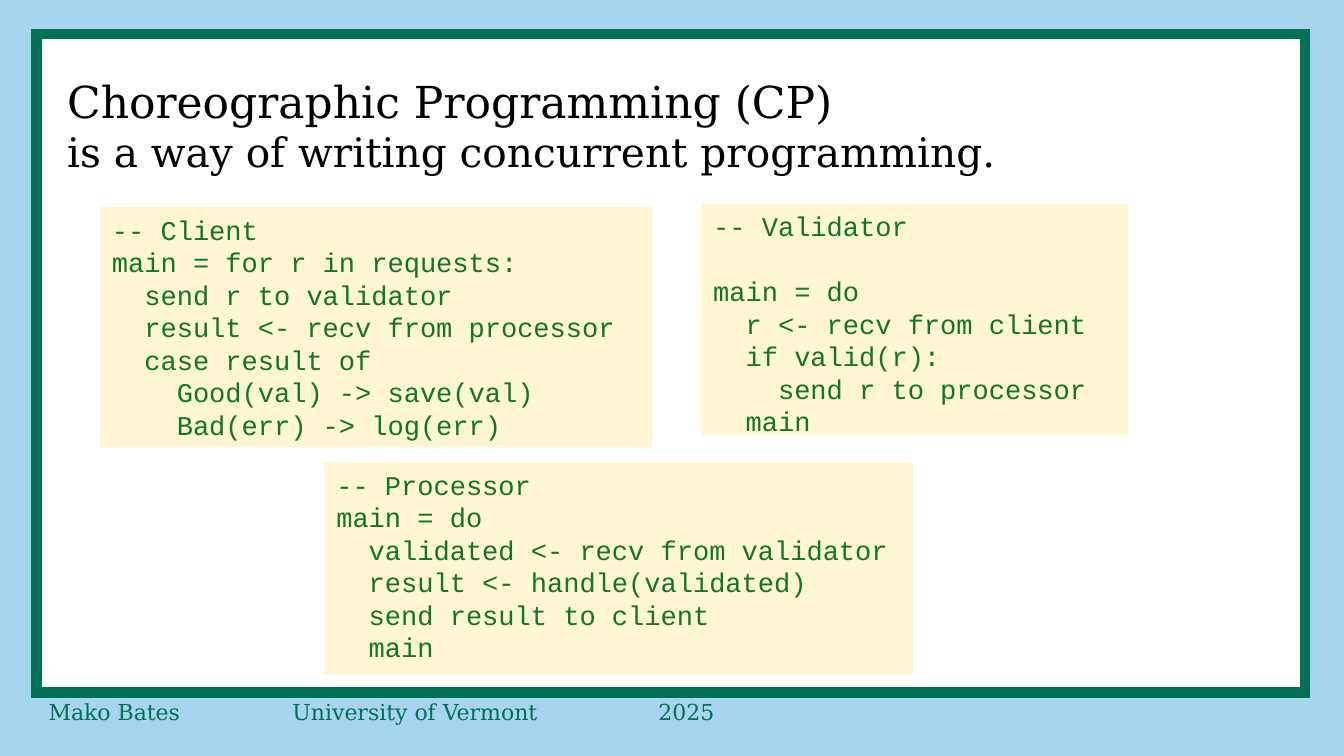
from lxml.etree import SubElement
from pptx import Presentation
from pptx.dml.color import RGBColor
from pptx.enum.shapes import MSO_SHAPE
from pptx.enum.text import MSO_ANCHOR, MSO_AUTO_SIZE, PP_ALIGN
from pptx.oxml.ns import qn
from pptx.util import Inches, Pt

SKY = RGBColor(0xA7, 0xD4, 0xEE)
WHITE = RGBColor(0xFF, 0xFF, 0xFF)
BLACK = RGBColor(0x00, 0x00, 0x00)
GREEN = RGBColor(0x00, 0x71, 0x55)
CODE_GREEN = RGBColor(0x12, 0x76, 0x22)
YELLOW = RGBColor(0xFF, 0xE9, 0x94)

SERIF = "DejaVu Serif"
MONO = "Courier New"
CODE_SIZE = 16

CLIENT = """-- Client
main = for r in requests:
  send r to validator
  result <- recv from processor
  case result of
    Good(val) -> save(val)
    Bad(err) -> log(err)"""

VALIDATOR = """-- Validator
main = do
  r <- recv from client
  if valid(r):
    send r to processor
  main"""

PROCESSOR = """-- Processor
main = do
  validated <- recv from validator
  result <- handle(validated)
  send result to client
  main"""


class SlideBuilder:
    """Holds the current slide and draws its elements in one style."""

    def __init__(self, deck):
        self.slide = deck.slides.add_slide(deck.slide_layouts[5])
        background = self.slide.background.fill
        background.solid()
        background.fore_color.rgb = SKY

    def style(self, span, font, size, color):
        span.font.name = font
        span.font.size = Pt(size)
        span.font.color.rgb = color

    def rectangle(self, area, color):
        box = self.slide.shapes.add_shape(
            MSO_SHAPE.RECTANGLE, *map(Inches, area))
        box.shadow.inherit = False
        box.fill.solid()
        box.fill.fore_color.rgb = color
        box.line.fill.background()
        return box

    def frame(self, area):
        box = self.rectangle(area, WHITE)
        box.line.color.rgb = GREEN
        box.line.width = Pt(6)
        # Square corners
        outline = box.element.spPr.find(qn("a:ln"))
        SubElement(outline, qn("a:miter"), lim="800000")

    def title(self, area, lines, sizes):
        box = self.slide.shapes.title
        box.left, box.top, box.width, box.height = map(Inches, area)
        text = box.text_frame
        text.margin_left = text.margin_right = 0
        text.margin_top = text.margin_bottom = 0
        text.vertical_anchor = MSO_ANCHOR.MIDDLE
        text.auto_size = MSO_AUTO_SIZE.NONE
        text.text = "\v".join(lines)
        para = text.paragraphs[0]
        para.alignment = PP_ALIGN.LEFT
        for span, size in zip(para.runs, sizes):
            self.style(span, SERIF, size, BLACK)
        # Bring the title in front of the frame
        box.element.getparent().append(box.element)

    def footer(self, area, parts, stops):
        box = self.slide.shapes.add_textbox(*map(Inches, area))
        box.text_frame.word_wrap = True
        para = box.text_frame.paragraphs[0]
        para.text = "\t".join(parts)
        tabs = SubElement(para._p.get_or_add_pPr(), qn("a:tabLst"))
        for stop in stops:
            SubElement(tabs, qn("a:tab"), pos=str(Inches(stop)), algn="l")
        for span in para.runs:
            self.style(span, SERIF, 13, GREEN)

    def code(self, area, listing, heading_gap=0):
        box = self.rectangle(area, YELLOW)
        color = box.element.spPr.find(qn("a:solidFill")).find(qn("a:srgbClr"))
        SubElement(color, qn("a:alpha"), val="40000")
        text = box.text_frame
        text.word_wrap = True
        text.vertical_anchor = MSO_ANCHOR.TOP
        text.text = listing
        for para in text.paragraphs:
            para.alignment = PP_ALIGN.LEFT
            for span in para.runs:
                self.style(span, MONO, CODE_SIZE, CODE_GREEN)
        if heading_gap:
            text.paragraphs[0].space_after = Pt(heading_gap)


def main():
    deck = Presentation()
    deck.slide_width, deck.slide_height = Inches(11.02), Inches(6.2)
    page = SlideBuilder(deck)

    # Frame and footer
    page.frame((0.3, 0.28, 10.4, 5.4))
    page.footer((0.3, 5.68, 10.4, 0.31),
                ("Mako Bates", "University of Vermont", "2025"), (2, 5))

    # Title
    page.title((0.55, 0.62, 9.92, 0.81),
               ("Choreographic Programming (CP)",
                "is a way of writing concurrent programming."), (26, 24))

    # Programs of the three participants
    page.code((0.82, 1.7, 4.53, 1.97), CLIENT)
    page.code((5.75, 1.67, 3.5, 1.9), VALIDATOR, heading_gap=19.2)
    page.code((2.66, 3.79, 4.83, 1.74), PROCESSOR)

    deck.save("out.pptx")


if __name__ == "__main__":
    main()
